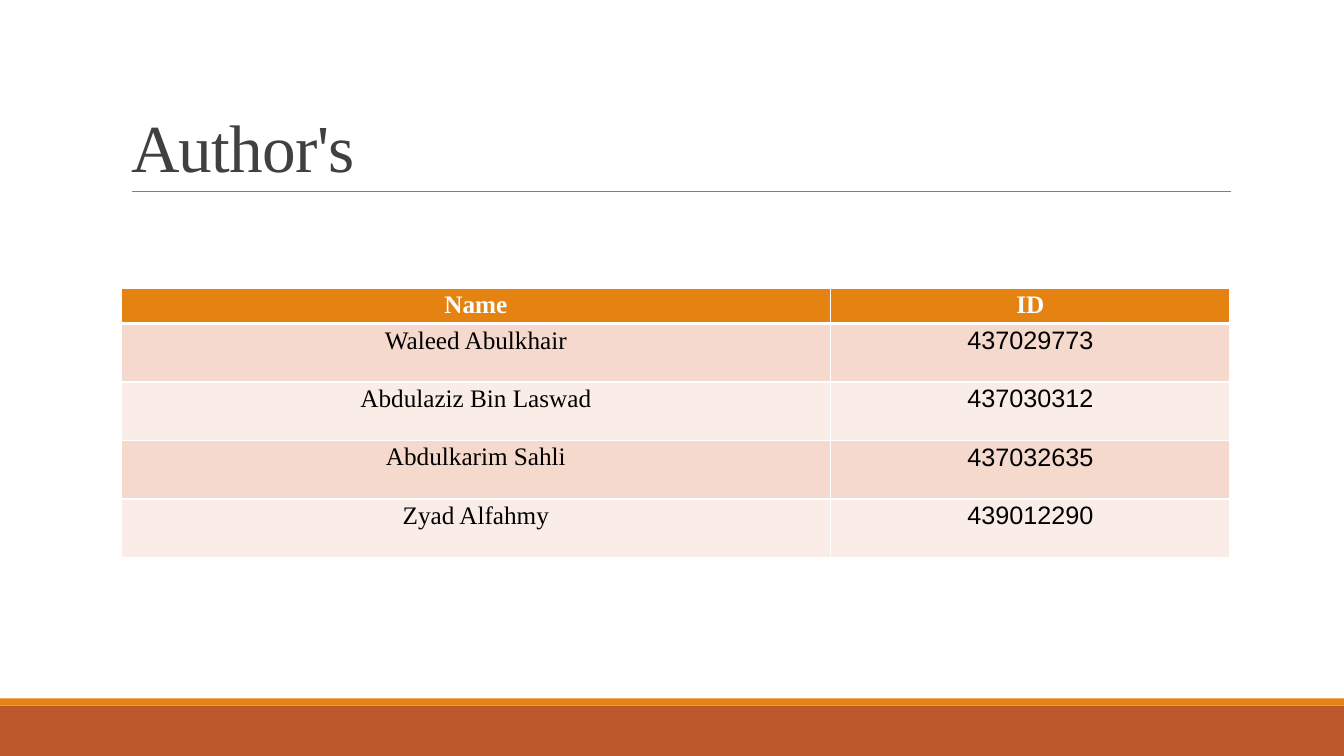
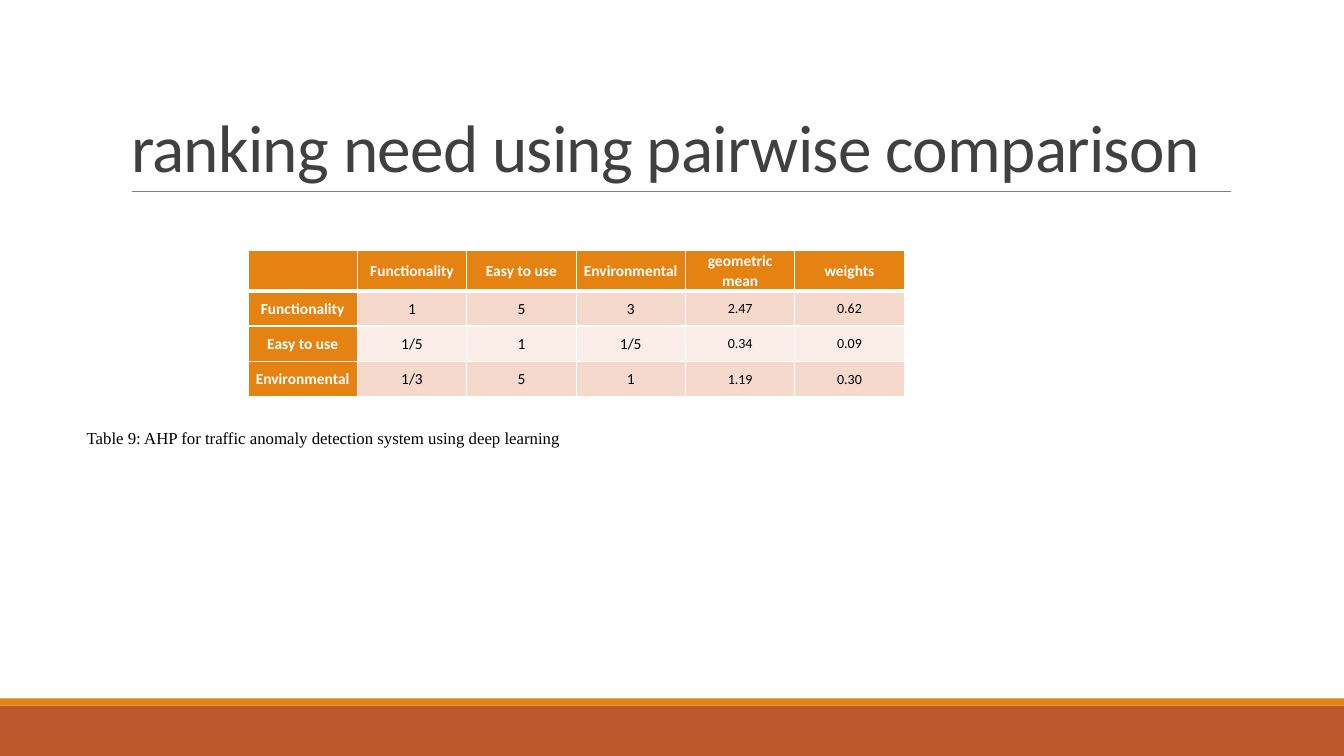
import dataclasses

import lxml.etree
import pptx
import pptx.dml.color
import pptx.enum.shapes
import pptx.enum.text
import pptx.oxml
import pptx.oxml.ns
import pptx.util

Inches = pptx.util.Inches
Pt = pptx.util.Pt
qn = pptx.oxml.ns.qn
rgb = pptx.dml.color.RGBColor.from_string
ALIGN = pptx.enum.text.PP_ALIGN
ANCHOR = pptx.enum.text.MSO_ANCHOR


@dataclasses.dataclass(frozen=True)
class Theme:
    orange: str = "E48312"
    rust: str = "BD582C"
    grey: str = "808080"
    heading: str = "404040"
    black: str = "000000"
    white: str = "FFFFFF"
    bands: tuple = ("F5D9CC", "FAEDE7")
    serif: str = "Times New Roman"
    sans: str = "Calibri"
    digits: str = "Arial"
    title_size: int = 48
    author_size: int = 18
    caption_size: int = 12
    matrix_size: int = 11
    result_size: int = 10


theme = Theme()


def add_run(p, text, font, size, color, bold=False):
    r = p.add_run()
    r.text = text
    r.font.name = font
    r.font.size = Pt(size)
    r.font.bold = bold
    r.font.color.rgb = rgb(color)
    return r


def add_grid(s, rows, left, top, widths, heights, inset_x, inset_y, head_col):
    frame = s.shapes.add_table(
        len(rows), len(widths), Inches(left), Inches(top), Inches(sum(widths)), Inches(sum(heights))
    )
    table = frame.table
    for column, width in zip(table.columns, widths):
        column.width = Inches(width)
    for row, height in zip(table.rows, heights):
        row.height = Inches(height)
    for i in range(len(rows)):
        for j in range(len(widths)):
            cell = table.cell(i, j)
            cell.margin_left = cell.margin_right = Inches(inset_x)
            cell.margin_top = cell.margin_bottom = Inches(inset_y)
            tcPr = cell._tc.get_or_add_tcPr()
            for side in ("L", "R", "T", "B"):
                thick = (i, side) in ((0, "B"), (1, "T"))
                ln = lxml.etree.SubElement(tcPr, qn("a:ln" + side), w=str(Pt(3 if thick else 1)))
                solid = lxml.etree.SubElement(ln, qn("a:solidFill"))
                lxml.etree.SubElement(solid, qn("a:srgbClr"), val=theme.white)
            is_head = i == 0 or (head_col and j == 0)
            cell.fill.solid()
            cell.fill.fore_color.rgb = rgb(theme.orange if is_head else theme.bands[(i - 1) % 2])
            cell.text_frame.paragraphs[0].alignment = ALIGN.CENTER
    return table


prs = pptx.Presentation()
prs.slide_width = Inches(13.33)
prs.slide_height = Inches(7.5)
layout = prs.slide_layouts[5]

title = layout.placeholders[0]
title.left, title.top = Inches(1.2), Inches(0.31)
title.width, title.height = Inches(11), Inches(1.59)

slides = []
for text, font in (
    ("Author's", theme.serif),
    ("ranking need using pairwise comparison", theme.sans),
):
    s = prs.slides.add_slide(layout)
    tf = s.shapes.title.text_frame
    tf.word_wrap = True
    tf.auto_size = pptx.enum.text.MSO_AUTO_SIZE.NONE
    tf.vertical_anchor = ANCHOR.BOTTOM
    p = tf.paragraphs[0]
    p.alignment = ALIGN.LEFT
    p.line_spacing = 0.85
    r = add_run(p, text, font, theme.title_size, theme.heading)
    r.font._element.set("spc", "-50")
    slides.append(s)

authors_slide, ranking_slide = slides

for top, height, color in ((7, 0.5, theme.rust), (6.93, 0.07, theme.orange)):
    band = authors_slide.shapes.add_shape(
        pptx.enum.shapes.MSO_SHAPE.RECTANGLE, 0, Inches(top), prs.slide_width, Inches(height)
    )
    band.shadow.inherit = False
    band.fill.solid()
    band.fill.fore_color.rgb = rgb(color)
    band.line.fill.background()
    layout.shapes._spTree.append(band._element)

rule = authors_slide.shapes.add_connector(
    pptx.enum.shapes.MSO_CONNECTOR.STRAIGHT, Inches(1.31), Inches(1.9), Inches(12.21), Inches(1.9)
)
rule.line.color.rgb = rgb(theme.grey)
rule.line.width = Pt(0.5)
lxml.etree.SubElement(rule._element.spPr, qn("a:effectLst"))
layout.shapes._spTree.append(rule._element)

authors = [
    ("Name", "ID"),
    ("Waleed Abulkhair", "437029773"),
    ("Abdulaziz Bin Laswad", "437030312"),
    ("Abdulkarim Sahli", "437032635"),
    ("Zyad Alfahmy", "439012290"),
]
table = add_grid(
    authors_slide, authors, 1.2, 2.86, [7.04, 3.96], [0.35] + [0.58] * 4, 0.1, 0.03, False
)
for i, row in enumerate(authors):
    for j, text in enumerate(row):
        p = table.cell(i, j).text_frame.paragraphs[0]
        p._p.get_or_add_pPr().set("rtl", "1")
        color = theme.white if i == 0 else theme.black
        r = add_run(p, text, theme.serif, theme.author_size, color, i == 0)
        lxml.etree.SubElement(r.font._element, qn("a:cs"), typeface=theme.digits)

matrix = [
    ("", "Functionality", "Easy to use", "Environmental", "geometric mean", "weights"),
    ("Functionality", "1", "5", "3", "2.47", "0.62"),
    ("Easy to use", "1/5", "1", "1/5", "0.34", "0.09"),
    ("Environmental", "1/3", "5", "1", "1.19", "0.30"),
]
table = add_grid(
    ranking_slide, matrix, 2.46, 2.48, [6.51 / 6] * 6, [0.4] + [0.35] * 3, 0.07, 0, True
)
for i, row in enumerate(matrix):
    for j, text in enumerate(row):
        cell = table.cell(i, j)
        cell.vertical_anchor = ANCHOR.MIDDLE
        p = cell.text_frame.paragraphs[0]
        p.line_spacing = 1.07
        is_head = i == 0 or j == 0
        size = theme.result_size if i > 0 and j > 3 else theme.matrix_size
        if text:
            add_run(p, text, theme.sans, size, theme.white if is_head else theme.black, is_head)

caption = ranking_slide.shapes.add_textbox(Inches(0.21), Inches(4.19), Inches(6), Inches(0.3))
tf = caption.text_frame
tf.word_wrap = True
tf.vertical_anchor = ANCHOR.MIDDLE
p = tf.paragraphs[0]
p.alignment = ALIGN.CENTER
add_run(
    p,
    "Table 9: AHP for traffic anomaly detection system using deep learning",
    theme.serif,
    theme.caption_size,
    theme.black,
)

prs.save("out.pptx")
